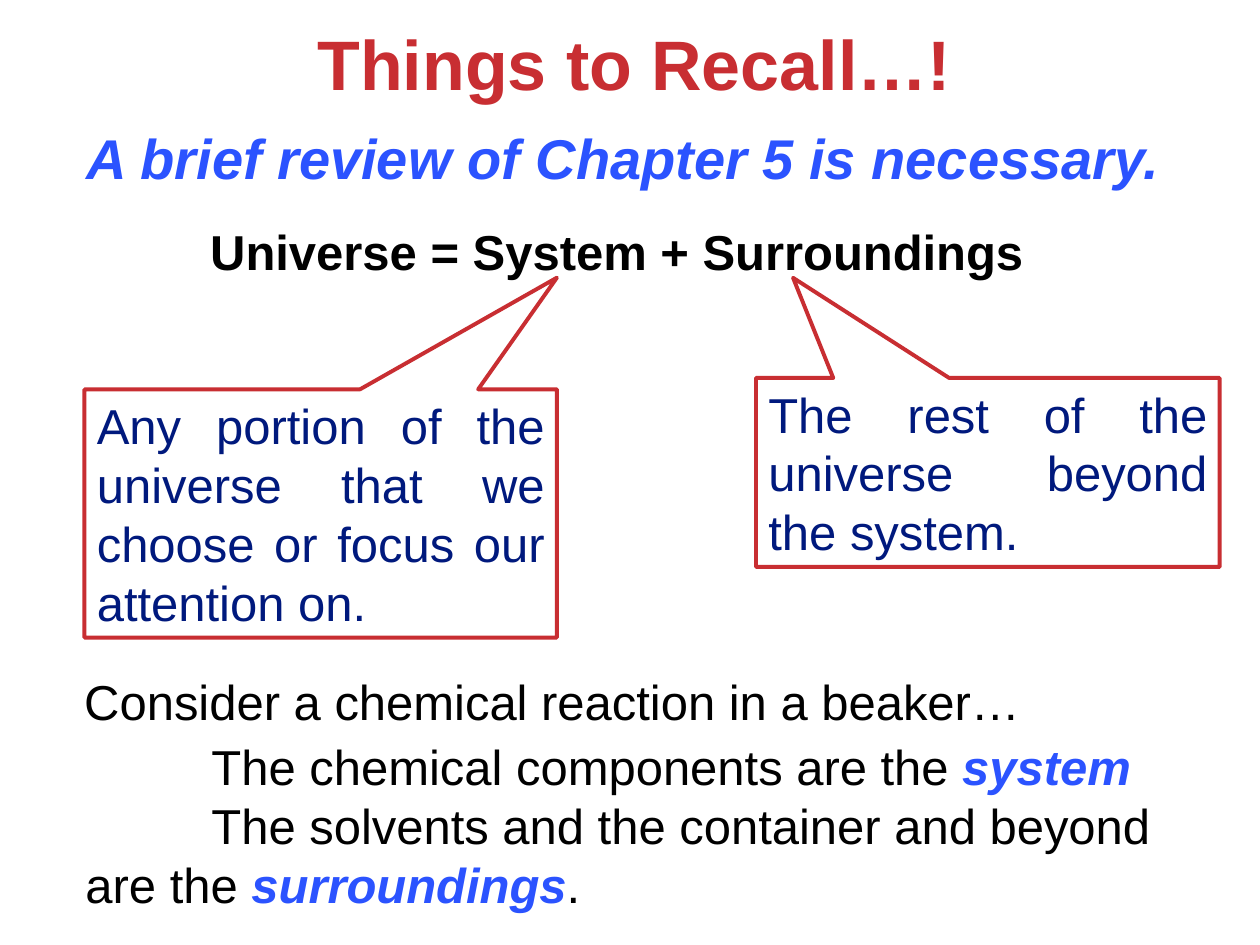
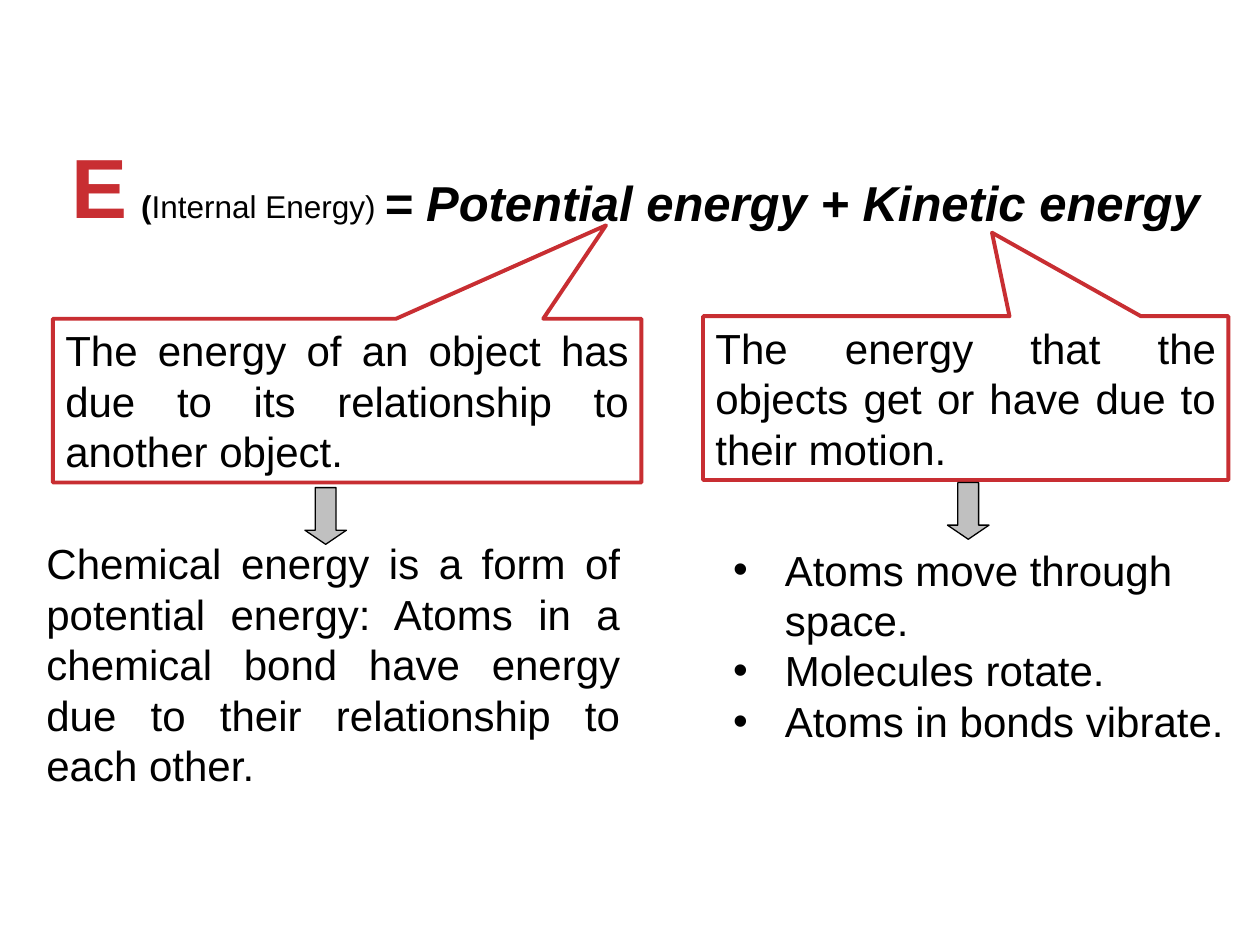
from pptx import Presentation
from pptx.dml.color import RGBColor
from pptx.enum.shapes import MSO_SHAPE
from pptx.enum.text import MSO_ANCHOR, MSO_AUTO_SIZE, PP_ALIGN
from pptx.oxml import parse_xml
from pptx.oxml.ns import nsdecls
from pptx.util import Inches, Pt

CALLOUT = MSO_SHAPE.RECTANGULAR_CALLOUT
DOWN_ARROW = MSO_SHAPE.DOWN_ARROW
TOP = MSO_ANCHOR.TOP
NO_FIT = MSO_AUTO_SIZE.NONE
LEFT, JUSTIFY = PP_ALIGN.LEFT, PP_ALIGN.JUSTIFY

FONT = "Arial"
RED, BLUE, NAVY, BLACK, GREY = "C82E32", "2B53FF", "00197D", "000000", "C0C0C0"
TITLE_ONLY, BLANK = 5, 6


def rgb(value):
    return RGBColor.from_string(value)


def inches(box):
    return [Inches(v) for v in box]


def add_run(p, text, size, color=BLACK, bold=False, italic=False):
    r = p.add_run()
    r.text = text
    r.font.name = FONT
    r.font.size = Pt(size)
    r.font.color.rgb = rgb(color)
    r.font.bold = bold
    r.font.italic = italic


def set_frame(tf):
    tf.word_wrap = True
    tf.auto_size = NO_FIT
    tf.vertical_anchor = TOP
    tf.margin_left = tf.margin_right = Inches(0.1)
    tf.margin_top = tf.margin_bottom = Inches(0.05)


def set_indent(p, first, left=0):
    pPr = p._p.get_or_add_pPr()
    pPr.set("marL", str(Inches(left)))
    pPr.set("indent", str(Inches(first)))
    return pPr


def set_bullet(p, hang):
    pPr = set_indent(p, -hang, hang)
    for tag in ('buFont typeface="Arial"', 'buChar char="•"'):
        pPr.append(parse_xml(f"<a:{tag} {nsdecls('a')}/>"))


def add_title(s, box, text):
    title = s.shapes.title
    title.left, title.top, title.width, title.height = inches(box)
    set_frame(title.text_frame)
    p = title.text_frame.paragraphs[0]
    p.alignment = LEFT
    add_run(p, text, 40, RED, bold=True)


def add_text(s, box, paragraphs, size, align=LEFT):
    tf = s.shapes.add_textbox(*inches(box)).text_frame
    set_frame(tf)
    for i, runs in enumerate(paragraphs):
        p = tf.paragraphs[0] if i == 0 else tf.add_paragraph()
        p.alignment = align
        for text, *style in runs:
            add_run(p, text, size, *style)
    return tf


def add_callout(s, box, tip, text, size, color):
    sp = s.shapes.add_shape(CALLOUT, *inches(box))
    sp.shadow.inherit = False
    sp.adjustments[0], sp.adjustments[1] = tip
    sp.fill.background()
    sp.line.color.rgb = rgb(RED)
    sp.line.width = Pt(2.25)
    set_frame(sp.text_frame)
    p = sp.text_frame.paragraphs[0]
    p.alignment = JUSTIFY
    add_run(p, text, size, color)


def add_down_arrow(s, left, top):
    sp = s.shapes.add_shape(DOWN_ARROW, *inches((left, top, 0.33, 0.45)))
    sp.shadow.inherit = False
    sp.adjustments[1] = 0.34
    sp.fill.solid()
    sp.fill.fore_color.rgb = rgb(GREY)
    sp.line.color.rgb = rgb(BLACK)
    sp.line.width = Pt(0.75)


def add_internal_energy(s, box):
    p = add_text(s, box, [[]], 28).paragraphs[0]
    add_run(p, "E", 48, RED, bold=True)
    add_run(p, " ", 28, bold=True)
    add_run(p, "(", 18, bold=True)
    add_run(p, "Internal Energy)", 18)


def add_motion_list(s, box):
    items = ["Atoms move through space.", "Molecules rotate.", "Atoms in bonds vibrate."]
    tf = add_text(s, box, [[(item,)] for item in items], 24)
    tf.margin_right = 0
    for p in tf.paragraphs:
        set_bullet(p, 0.41)


def build_recall(prs):
    s = prs.slides.add_slide(prs.slide_layouts[TITLE_ONLY])
    add_title(s, (2.42, 0.11, 5.5, 0.77), "Things to Recall…!")
    add_text(s, (0.59, 0.93, 9, 0.64),
             [[("A brief review of Chapter 5 is necessary.", BLUE, True, True)]], 32)
    add_text(s, (1.57, 1.71, 7, 0.57),
             [[("Universe = System + Surroundings", BLACK, True)]], 28)
    add_callout(s, (0.67, 3.09, 3.75, 1.97), (0.5, -0.95),
                "Any portion of the universe that we choose or focus our attention on.", 28, NAVY)
    add_callout(s, (6, 3, 3.68, 1.5), (-0.42, -1.03),
                "The rest of the universe beyond the system.", 28, NAVY)
    add_text(s, (0.57, 5.28, 9.02, 0.57),
             [[("Consider a chemical reaction in a beaker…",)]], 28, JUSTIFY)
    examples = add_text(s, (0.58, 5.8, 9.02, 1.5), [
        [("The chemical components are the ",), ("system", BLUE, True, True)],
        [("The solvents and the container and beyond are the ",),
         ("surroundings", BLUE, True, True), (".",)],
    ], 28)
    for p in examples.paragraphs:
        set_indent(p, 1)


def build_energy(prs):
    s = prs.slides.add_slide(prs.slide_layouts[BLANK])
    add_internal_energy(s, (0.47, 1.02, 2.8, 0.9))
    add_text(s, (2.95, 1.32, 6.9, 0.57),
             [[("= Potential energy + Kinetic energy", BLACK, True, True)]], 28)
    add_callout(s, (0.42, 2.53, 4.67, 1.3), (0.44, -1.07),
                "The energy of an object has due to its relationship to another object.", 24, BLACK)
    add_text(s, (0.27, 4.22, 4.75, 2.1),
             [[("Chemical energy is a form of potential energy: Atoms in a chemical bond "
                "have energy due to their relationship to each other.",)]], 24, JUSTIFY)
    add_callout(s, (5.58, 2.51, 4.17, 1.3), (0.05, -1.01),
                "The energy that the objects get or have due to their motion.", 24, BLACK)
    add_motion_list(s, (5.72, 4.27, 4.08, 1.7))
    add_down_arrow(s, 2.42, 3.87)
    add_down_arrow(s, 7.52, 3.83)


def main():
    prs = Presentation()
    prs.slide_width, prs.slide_height = Inches(10), Inches(7.5)
    build_recall(prs)
    build_energy(prs)
    prs.save("out.pptx")


if __name__ == "__main__":
    main()
